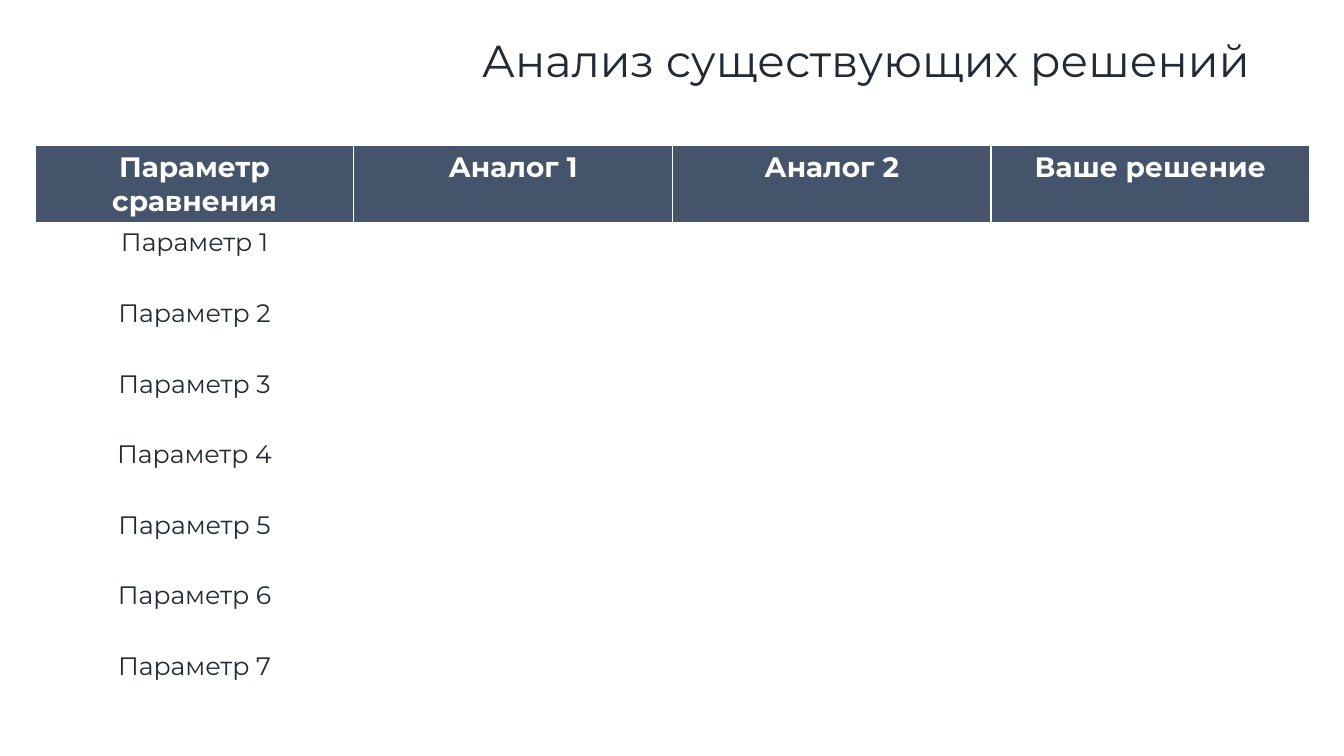
import pptx
import pptx.dml.color
import pptx.enum.text
import pptx.util

Inches = pptx.util.Inches
RGBColor = pptx.dml.color.RGBColor
ALIGN = pptx.enum.text.PP_ALIGN

TITLE = "Анализ существующих решений"
HEADINGS = ["Параметр сравнения", "Аналог 1", "Аналог 2", "Ваше решение"]
PARAMETERS = [f"Параметр {number}" for number in range(1, 8)]
ROWS = [HEADINGS] + [[name, "", "", ""] for name in PARAMETERS]

FONT = "Montserrat"
INK = RGBColor(0x22, 0x2A, 0x35)
SLATE = RGBColor(0x44, 0x54, 0x6A)
WHITE = RGBColor(0xFF, 0xFF, 0xFF)

SLIDE_WIDTH, SLIDE_HEIGHT = 13.33, 7.5
TABLE_LEFT, TABLE_TOP = 0.35, 1.44
COLUMN_WIDTH, ROW_HEIGHT = 3.16, 0.7


def write(frame, text, size, color=INK, bold=False, align=ALIGN.LEFT):
    paragraph = frame.paragraphs[0]
    paragraph.alignment = align
    run = paragraph.add_run()
    run.text = text
    run.font.name = FONT
    run.font.size = pptx.util.Pt(size)
    run.font.bold = bold
    run.font.color.rgb = color


def add_title(slide):
    title = slide.shapes.add_textbox(
        Inches(4.68), Inches(0.28), Inches(8.45), Inches(0.64)).text_frame
    title.word_wrap = False
    title.auto_size = pptx.enum.text.MSO_AUTO_SIZE.SHAPE_TO_FIT_TEXT
    write(title, TITLE, 32)


def add_comparison(slide):
    comparison = slide.shapes.add_table(
        len(ROWS), len(HEADINGS), Inches(TABLE_LEFT), Inches(TABLE_TOP),
        Inches(COLUMN_WIDTH * len(HEADINGS)), Inches(ROW_HEIGHT * len(ROWS))).table
    comparison.horz_banding = False
    for column in comparison.columns:
        column.width = Inches(COLUMN_WIDTH)
    for row_index, row in enumerate(ROWS):
        comparison.rows[row_index].height = Inches(ROW_HEIGHT)
        is_header = row_index == 0
        for column_index, text in enumerate(row):
            cell = comparison.cell(row_index, column_index)
            if is_header:
                cell.fill.solid()
                cell.fill.fore_color.rgb = SLATE
            else:
                cell.fill.background()
            if text:
                write(cell.text_frame, text, 20 if is_header else 18,
                      color=WHITE if is_header else INK,
                      bold=is_header, align=ALIGN.CENTER)


def main():
    deck = pptx.Presentation()
    deck.slide_width = Inches(SLIDE_WIDTH)
    deck.slide_height = Inches(SLIDE_HEIGHT)
    slide = deck.slides.add_slide(deck.slide_layouts[6])
    slide.background.fill.solid()
    slide.background.fill.fore_color.rgb = WHITE
    add_title(slide)
    add_comparison(slide)
    deck.save("out.pptx")


if __name__ == "__main__":
    main()
